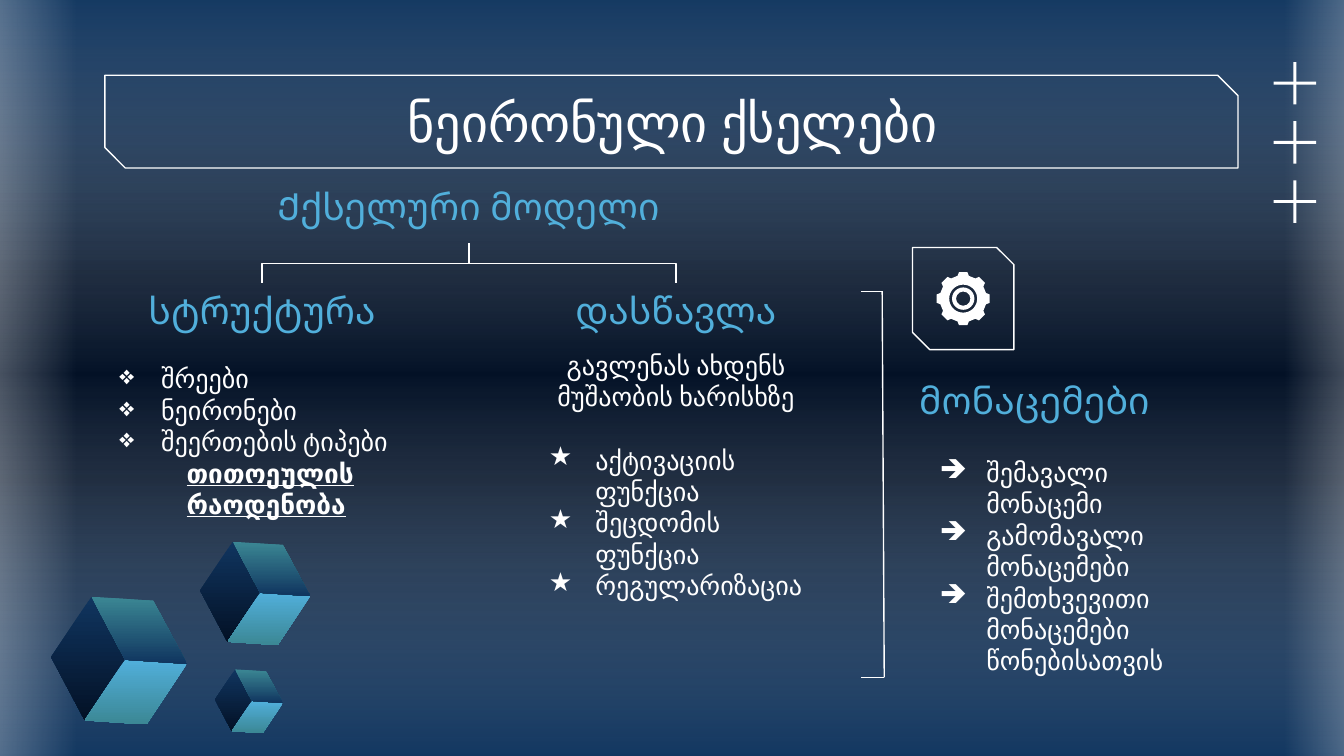
from math import cos, radians, sin

from lxml.etree import SubElement
from pptx import Presentation
from pptx.dml.color import RGBColor
from pptx.enum.shapes import MSO_CONNECTOR as Link, MSO_SHAPE as Shape
from pptx.enum.text import MSO_ANCHOR as Anchor, PP_ALIGN as Align
from pptx.oxml.ns import qn
from pptx.util import Pt

COLORS = {
    "white": "FFFFFF",
    "sky": "51AFDB",
    "teal": "3B8794",
    "blue": "10355F",
    "navy": "031126",
}
INSET = 7.2
LINE_HEIGHT = 17


def rgb(name):
    return RGBColor.from_string(COLORS[name])


def set_gradient(element, fill, stops, angle):
    """Fill with stops of (position %, colour, opacity %)."""
    fill.solid()
    solid = next(element.iter(qn("a:solidFill")))
    gradient = solid.makeelement(qn("a:gradFill"), {"rotWithShape": "1"})
    stop_list = SubElement(gradient, qn("a:gsLst"))
    for position, color, opacity in stops:
        stop = SubElement(stop_list, qn("a:gs"), pos=str(position * 1000))
        value = SubElement(stop, qn("a:srgbClr"), val=COLORS[color])
        if opacity < 100:
            SubElement(value, qn("a:alpha"), val=str(opacity * 1000))
    SubElement(gradient, qn("a:lin"), ang=str(angle * 60000), scaled="0")
    solid.getparent().replace(solid, gradient)


def fill_plain(shape, color="white"):
    shape.shadow.inherit = False
    shape.fill.solid()
    shape.fill.fore_color.rgb = rgb(color)
    shape.line.fill.background()


def add_panel(slide, box, stops, angle):
    panel = slide.shapes.add_shape(Shape.RECTANGLE, *map(Pt, box))
    panel.shadow.inherit = False
    set_gradient(panel.element, panel.fill, stops, angle)
    panel.line.fill.background()


def add_frame(slide, box, snip):
    frame = slide.shapes.add_shape(Shape.SNIP_2_DIAG_RECTANGLE, *map(Pt, box))
    frame.adjustments[0] = 0
    frame.adjustments[1] = snip
    frame.shadow.inherit = False
    frame.fill.background()
    frame.line.color.rgb = rgb("white")
    frame.line.width = Pt(0.75)


def add_link(slide, kind, *ends):
    link = slide.shapes.add_connector(kind, *map(Pt, ends))
    link.line.color.rgb = rgb("white")
    link.line.width = Pt(0.75)
    SubElement(link.element.spPr, qn("a:effectLst"))
    return link


def add_text_frame(slide, box, anchor, side_inset=INSET):
    frame = slide.shapes.add_textbox(*map(Pt, box)).text_frame
    frame.word_wrap = True
    frame.vertical_anchor = anchor
    frame.margin_left = frame.margin_right = Pt(side_inset)
    frame.margin_top = frame.margin_bottom = Pt(INSET)
    return frame


def style(paragraph, font, size, color):
    paragraph.font.name = font
    paragraph.font.size = Pt(size)
    paragraph.font.color.rgb = rgb(color)


def add_heading(slide, text, box, size=20, color="sky", anchor=Anchor.BOTTOM, align=Align.CENTER):
    heading = add_text_frame(slide, box, anchor).paragraphs[0]
    heading.text = text
    heading.alignment = align
    style(heading, "Lato", size, color)


def add_line(frame, text, margin=0, bullet=None):
    """Append a body paragraph, reusing the first one while it is empty."""
    line = frame.paragraphs[0] if not frame.text else frame.add_paragraph()
    line.text = text
    properties = line._p.get_or_add_pPr()
    properties.set("marL", str(Pt(margin)))
    properties.set("indent", str(Pt(-25) if bullet else 0))
    if bullet:
        bullet_color = SubElement(properties, qn("a:buClr"))
        SubElement(bullet_color, qn("a:srgbClr"), val=COLORS["white"])
        SubElement(properties, qn("a:buChar"), char=bullet)
    style(line, "Karla", 14, "white")
    return line


def add_outline(slide, *contours):
    """Build one freeform from closed contours of points."""
    contours = [[(Pt(x), Pt(y)) for x, y in contour] for contour in contours]
    builder = slide.shapes.build_freeform(*contours[0][0])
    for index, contour in enumerate(contours):
        if index:
            builder.move_to(*contour[0])
        builder.add_line_segments(contour[1:], close=True)
    return builder.convert_to_shape()


def add_cube(slide, left, top, scale):
    apex, west, south_west = (21.6, 0), (0, 32.4), (18, 66.2)
    center, east, south, north_east = (39.6, 33.8), (72.7, 36), (51.1, 68.4), (54.7, 2.2)
    faces = [
        ((apex, west, south_west, center), "blue", "navy"),
        ((center, east, south, south_west), "sky", "teal"),
        ((apex, north_east, east, center), "teal", "blue"),
    ]
    for corners, start, end in faces:
        face = add_outline(slide, [(left + x * scale, top + y * scale) for x, y in corners])
        face.shadow.inherit = False
        set_gradient(face.element, face.fill, [(0, start, 100), (100, end, 100)], 90)
        face.line.fill.background()


def add_gear(slide, x, y):
    def point(radius, angle):
        return x + radius * cos(radians(angle)), y + radius * sin(radians(angle))

    tooth = [(12.6, -14), (14.4, -9), (14.4, 9), (12.6, 14)]
    rim = [point(radius, 45 * k + turn) for k in range(8) for radius, turn in tooth]
    hole = [point(7.5, -angle) for angle in range(0, 360, 10)]
    fill_plain(add_outline(slide, rim, hole))
    ring = slide.shapes.add_shape(Shape.DONUT, Pt(x - 6), Pt(y - 6), Pt(12), Pt(12))
    ring.adjustments[0] = 0.18
    fill_plain(ring)


def add_plus(slide, x, y, length=22.7, thickness=1.6):
    for width, height in ((length, thickness), (thickness, length)):
        box = (x - width / 2, y - height / 2, width, height)
        fill_plain(slide.shapes.add_shape(Shape.RECTANGLE, *map(Pt, box)))


def add_branches(slide, x, y, reach=110.9, drop=21.6):
    """Fork from one stem into a left and a right elbow, each turned upright."""
    for side in (-1, 1):
        middle = x + side * reach / 2
        branch = add_link(slide, Link.ELBOW, middle + side * drop / 2, y - reach / 2,
                          middle - side * drop / 2, y + reach / 2)
        turn = 180 + 90 * side
        branch.element.spPr.find(qn("a:xfrm")).set("rot", str(turn * 60000))


def main():
    deck = Presentation()
    deck.slide_width, deck.slide_height = Pt(720), Pt(405)
    slide = deck.slides.add_slide(deck.slide_layouts[6])

    # Backdrop: dark band with lit edges
    band = [(0, "blue", 100), (37, "navy", 100), (63, "navy", 100), (100, "blue", 100)]
    set_gradient(slide.element, slide.background.fill, band, 90)
    haze = [(0, "blue", 59), (50, "white", 0), (100, "blue", 59)]
    add_panel(slide, (0, -9.3, 735, 418.3), haze, 90)
    glow = [(0, "white", 47), (100, "white", 0)]
    add_panel(slide, (-29.5, -6.5, 70.6, 417.6), glow, 0)
    add_panel(slide, (688.3, -9.4, 61.2, 417.6), glow, 180)

    # Title
    add_frame(slide, (56.2, 40.3, 607, 49.7), 0.22)
    add_heading(slide, "ნეირონული ქსელები", (56.9, 42.5, 607, 45.4), 28, "white", Anchor.MIDDLE)

    # Network model and its two branches
    add_heading(slide, "Ქქსელური მოდელი", (113.8, 96.5, 274.3, 33.1))
    add_heading(slide, "სტრუქტურა", (56.2, 151.9, 168.5, 33.1))
    add_heading(slide, "დასწავლა", (252.7, 151.9, 218.9, 33.1))
    add_branches(slide, 251.2, 141.1)

    structure = add_text_frame(slide, (56.9, 187.2, 168.5, 54.7), Anchor.TOP)
    for item in ("შრეები", "ნეირონები", "შეერთების ტიპები"):
        add_line(structure, item, 22.3, "❖")
    for item in ("თითოეულის", "რაოდენობა"):
        amount = add_line(structure, item, 36)
        amount.font.bold = amount.font.underline = True

    learning = add_text_frame(slide, (268.6, 180, 187.2, 139.7), Anchor.TOP, 2 * INSET)
    effect = add_line(learning, "გავლენას ახდენს მუშაობის ხარისხზე")
    effect.alignment = Align.CENTER
    effect.space_after = Pt(LINE_HEIGHT)
    for item in ("აქტივაციის ფუნქცია", "შეცდომის ფუნქცია", "რეგულარიზაცია"):
        add_line(learning, item, 36, "★")

    # Data column
    add_heading(slide, "მონაცემები", (485.3, 191.5, 163.4, 41.8), align=Align.LEFT)
    data = add_text_frame(slide, (485.3, 220.3 + LINE_HEIGHT, 163.4, 125.6), Anchor.TOP)
    for item in ("შემავალი მონაცემი", "გამომავალი მონაცემები",
                 "შემთხვევითი მონაცემები წონებისათვის"):
        add_line(data, item, 36, "➔")

    # Bracket beside the data
    add_link(slide, Link.STRAIGHT, 472.6, 156.2, 473.7, 362.9)
    add_link(slide, Link.STRAIGHT, 461.5, 156.2, 472.8, 156.2)
    add_link(slide, Link.STRAIGHT, 461.5, 362.9, 473.7, 362.9)

    # Gear badge
    add_frame(slide, (488.9, 132.6, 54.3, 54.7), 0.17)
    add_gear(slide, 516, 160)

    # Ornaments
    for row in range(3):
        add_plus(slide, 693.7, 44.6 + 31.7 * row)
    for cube in ((27.4, 319.7, 1), (115.2, 358.6, 0.5), (107.3, 290.2, 0.81)):
        add_cube(slide, *cube)

    deck.save("out.pptx")


if __name__ == "__main__":
    main()
